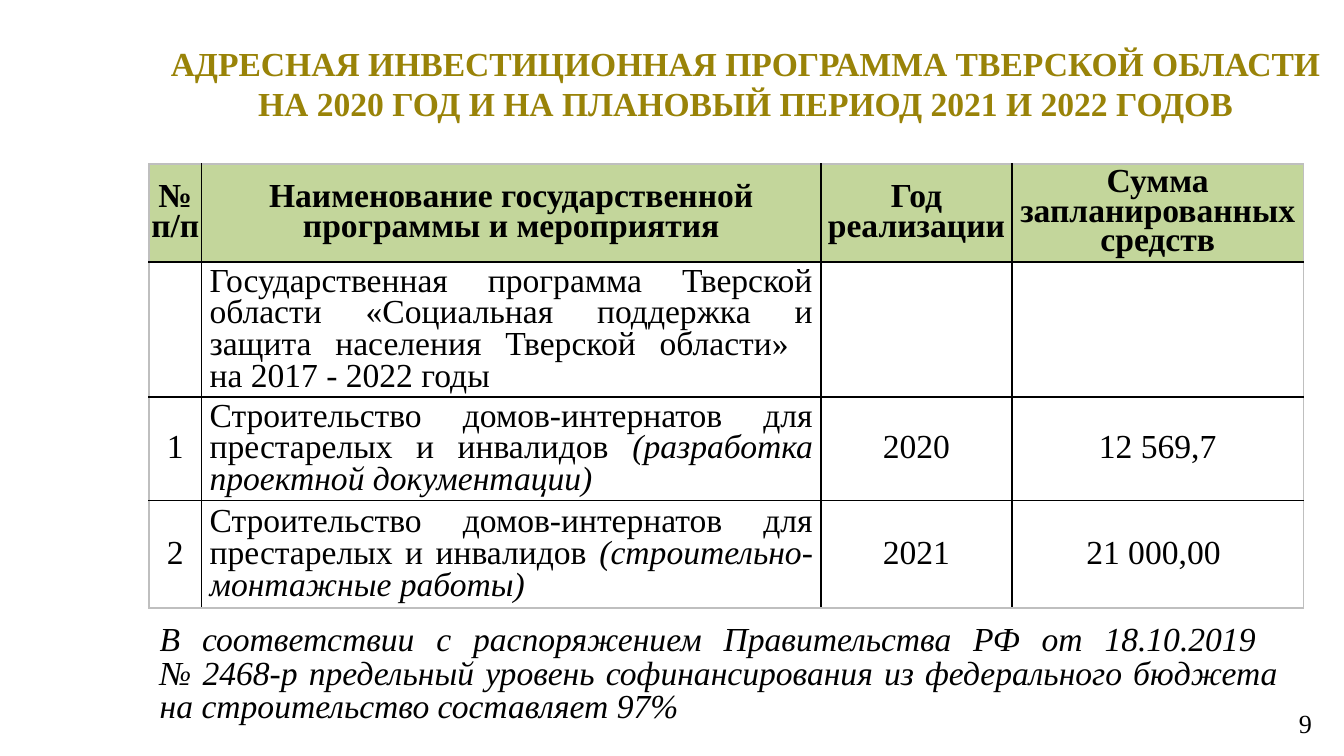
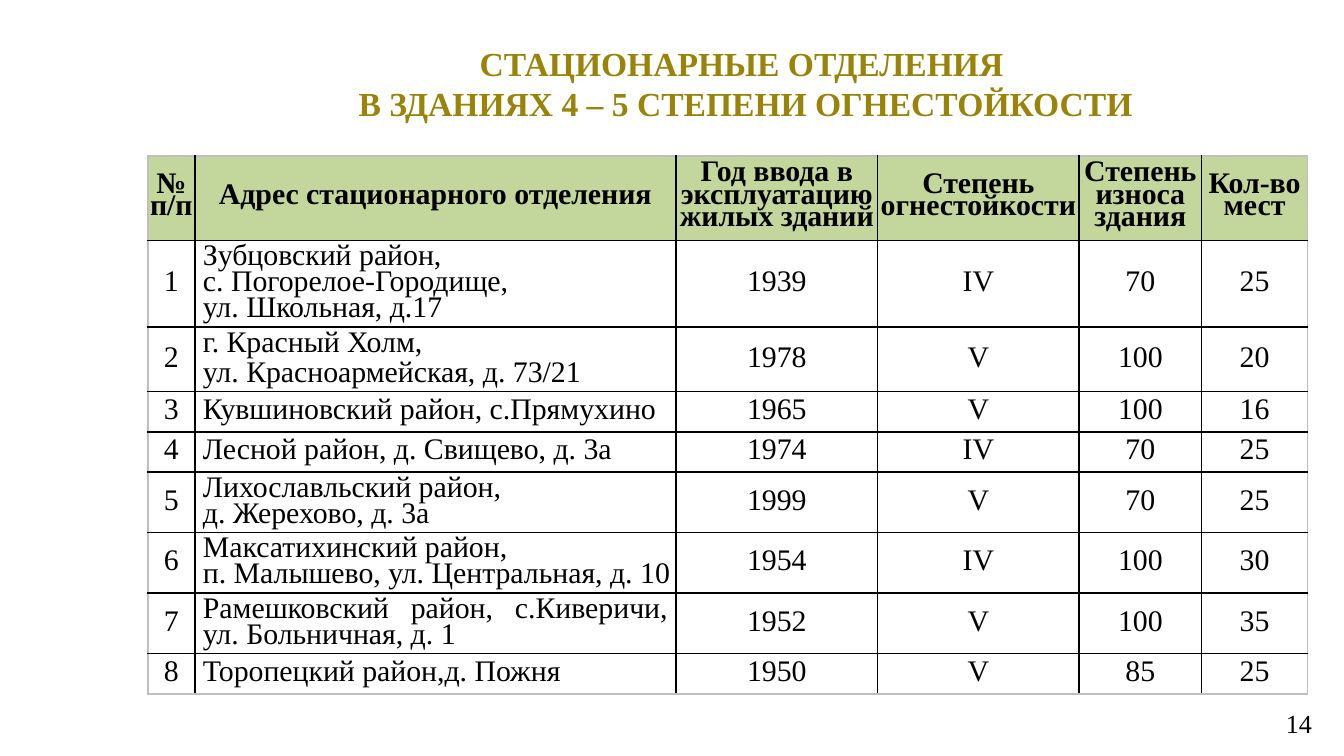
"""Build two slides with investment and fire-safety tables."""
from dataclasses import dataclass
from typing import Optional, Union

from lxml.etree import SubElement
from pptx import Presentation
from pptx.dml.color import RGBColor
from pptx.enum.text import MSO_ANCHOR, MSO_AUTO_SIZE, PP_ALIGN
from pptx.oxml.ns import qn
from pptx.util import Inches, Pt

FONT = "Times New Roman"
BLACK = RGBColor(0x00, 0x00, 0x00)
GOLD = RGBColor(0x99, 0x83, 0x08)
GREEN = RGBColor(0xC3, 0xD6, 0x9B)
GREY = RGBColor(0xBF, 0xBF, 0xBF)
TITLE_ONLY = 5
NAME_COLUMN = 1


@dataclass(frozen=True)
class Line:
    """A paragraph with an optional italic ending and its own line spacing."""
    text: str
    emphasis: str = ""
    spacing: Optional[float] = None


Cell = Union[str, tuple[Line, ...]]


@dataclass(frozen=True)
class TableSpec:
    """Place, grid, type sizes and contents of a table."""
    left: float
    top: float
    cols: tuple[float, ...]
    rows: tuple[float, ...]
    size: int
    head_spacing: int
    body_spacing: int
    header: tuple[str, ...]
    body: tuple[tuple[Cell, ...], ...]
    tight_row: Optional[int] = None


PROGRAMME = TableSpec(
    1.11, 1.22, (0.39, 4.61, 1.42, 2.17), (0.73, 1.0, 0.77, 0.8), 18, 16, 17,
    ("№ п/п", "Наименование государственной программы и мероприятия",
     "Год реализации", "Сумма запланированных средств"),
    (
        ("", "Государственная программа Тверской области «Социальная поддержка "
             "и защита населения Тверской области» \nна 2017 - 2022 годы", "", ""),
        ("1", (Line("Строительство домов-интернатов для престарелых и инвалидов ",
                    "(разработка проектной документации)"),), "2020", "12 569,7"),
        ("2", (Line("Строительство домов-интернатов для престарелых и инвалидов ",
                    "(строительно-монтажные работы)"),), "2021", "21 000,00 "),
    ),
)

DEPARTMENTS = TableSpec(
    1.1, 1.16, (0.35, 3.58, 1.5, 1.5, 0.91, 0.79),
    (0.63, 0.64, 0.48, 0.3, 0.3, 0.45, 0.45, 0.45, 0.3), 16, 12, 14,
    ("№ п/п", "Адрес стационарного отделения",
     "Год ввода в эксплуатацию жилых зданий", "Степень огнестойкости",
     "Степень износа здания", "Кол-во мест"),
    (
        ("1", (Line("Зубцовский район, "), Line("с. Погорелое-Городище,"),
               Line("ул. Школьная, д.17")), "1939", "IV", "70", "25"),
        ("2", (Line("г. Красный Холм, "),
               Line("ул. Красноармейская, д. 73/21", spacing=Pt(16))),
         "1978", "V", "100", "20"),
        ("3", "Кувшиновский район, с.Прямухино", "1965", "V", "100", "16"),
        ("4", "Лесной район, д. Свищево, д. 3а", "1974", "IV", "70", "25"),
        ("5", (Line("Лихославльский район, "), Line("д. Жерехово, д. 3а")),
         "1999", "V", "70", "25"),
        ("6", (Line("Максатихинский район, "),
               Line("п. Малышево, ул. Центральная, д. 10")),
         "1954", "IV", "100", "30"),
        ("7", "Рамешковский район, с.Киверичи, ул. Больничная, д. 1",
         "1952", "V", "100", "35"),
        ("8", "Торопецкий район,д. Пожня", "1950", "V", "85", "25"),
    ),
    tight_row=6,
)


def write(tf, content: Cell, *, size: int, bold: bool = False, italic: bool = False,
          color: RGBColor = BLACK, align=PP_ALIGN.CENTER, spacing=None) -> None:
    """Fill a text frame with formatted paragraphs."""
    lines = (Line(content),) if isinstance(content, str) else content
    for i, line in enumerate(lines):
        p = tf.paragraphs[0] if i == 0 else tf.add_paragraph()
        p.alignment = align
        p.line_spacing = line.spacing or spacing
        p.font.size = Pt(size)
        for text, slanted in ((line.text, italic), (line.emphasis, True)):
            for j, part in enumerate(text.split("\n") if text else ()):
                if j:
                    p.add_line_break()
                r = p.add_run()
                r.text = part
                r.font.name = FONT
                r.font.size = Pt(size)
                r.font.bold = bold
                r.font.italic = slanted
                r.font.color.rgb = color


def add_text(s, content: Cell, left: float, top: float, width: float, height: float,
             anchor=MSO_ANCHOR.TOP, **style) -> None:
    """Add a wrapping text box."""
    sp = s.shapes.add_textbox(Inches(left), Inches(top), Inches(width), Inches(height))
    tf = sp.text_frame
    tf.word_wrap = True
    tf.vertical_anchor = anchor
    write(tf, content, **style)


def set_borders(cell, edges: dict[str, RGBColor]) -> None:
    """Draw the cell borders, which precede the fill in the XML."""
    tc_pr = cell._tc.get_or_add_tcPr()
    for i, (tag, color) in enumerate(edges.items()):
        ln = SubElement(tc_pr, qn(f"a:{tag}"), w=str(Pt(1)))
        SubElement(SubElement(ln, qn("a:solidFill")), qn("a:srgbClr"), val=str(color))
        tc_pr.insert(i, ln)


def add_grid(s, spec: TableSpec) -> None:
    """Add a table with a green header and black inner lines."""
    n_rows, n_cols = len(spec.rows), len(spec.cols)
    table = s.shapes.add_table(
        n_rows, n_cols, Inches(spec.left), Inches(spec.top),
        Inches(sum(spec.cols)), Inches(sum(spec.rows))).table
    table.first_row = table.horz_banding = False
    for column, width in zip(table.columns, spec.cols):
        column.width = Inches(width)
    for row, height in zip(table.rows, spec.rows):
        row.height = Inches(height)
    for i, values in enumerate((spec.header, *spec.body)):
        head = i == 0
        for j, value in enumerate(values):
            cell = table.cell(i, j)
            named = j == NAME_COLUMN and not head
            tight = named and i == spec.tight_row
            cell.vertical_anchor = MSO_ANCHOR.MIDDLE
            cell.margin_left = Inches(0 if head else 0.06)
            cell.margin_right = Inches(0 if head or tight else 0.06)
            cell.margin_top, cell.margin_bottom = Inches(0.04), Inches(0.02)
            if head:
                cell.fill.solid()
                cell.fill.fore_color.rgb = GREEN
            else:
                cell.fill.background()
            set_borders(cell, {
                "lnL": BLACK if j else GREY,
                "lnR": BLACK if j < n_cols - 1 else GREY,
                "lnT": BLACK if i else GREY,
                "lnB": BLACK if i < n_rows - 1 else GREY,
            })
            write(cell.text_frame, value, size=spec.size, bold=head,
                  align=PP_ALIGN.JUSTIFY if named else PP_ALIGN.CENTER,
                  spacing=Pt(spec.head_spacing if head else spec.body_spacing))


def add_slide(prs, title: Cell, number: int, spec: TableSpec):
    """Add a slide with its title, page number and table."""
    s = prs.slides.add_slide(prs.slide_layouts[TITLE_ONLY])
    sp = s.shapes.title
    sp.left, sp.top, sp.width, sp.height = map(Inches, (1.1, 0.28, 8.9, 0.68))
    tf = sp.text_frame
    tf.word_wrap = True
    tf.auto_size = MSO_AUTO_SIZE.NONE
    tf.vertical_anchor = MSO_ANCHOR.TOP
    tf.margin_left = tf.margin_right = Inches(0.07)
    tf.margin_top = tf.margin_bottom = Inches(0.04)
    write(tf, title, size=18, bold=True, color=GOLD)
    add_text(s, str(number), 6.65, 5.18, 3.21, 0.4, MSO_ANCHOR.MIDDLE,
             size=14, align=PP_ALIGN.RIGHT)
    add_grid(s, spec)
    return s


def main() -> None:
    """Build and save the presentation."""
    prs = Presentation()
    prs.slide_width, prs.slide_height = Inches(10), Inches(10 * 9 / 16)
    s = add_slide(prs, "АДРЕСНАЯ ИНВЕСТИЦИОННАЯ ПРОГРАММА ТВЕРСКОЙ ОБЛАСТИ "
                       "НА 2020 ГОД И НА ПЛАНОВЫЙ ПЕРИОД 2021 И 2022 ГОДОВ",
                  9, PROGRAMME)
    add_text(s, "В соответствии с распоряжением Правительства РФ от 18.10.2019 \n"
                "№ 2468-р предельный уровень софинансирования из федерального "
                "бюджета на строительство составляет 97%",
             1.09, 4.6, 8.52, 0.86, size=18, italic=True,
             align=PP_ALIGN.JUSTIFY, spacing=Pt(18))
    add_slide(prs, (Line("СТАЦИОНАРНЫЕ ОТДЕЛЕНИЯ "),
                    Line("В ЗДАНИЯХ 4 – 5 СТЕПЕНИ ОГНЕСТОЙКОСТИ")),
              14, DEPARTMENTS)
    prs.save("out.pptx")


if __name__ == "__main__":
    main()
